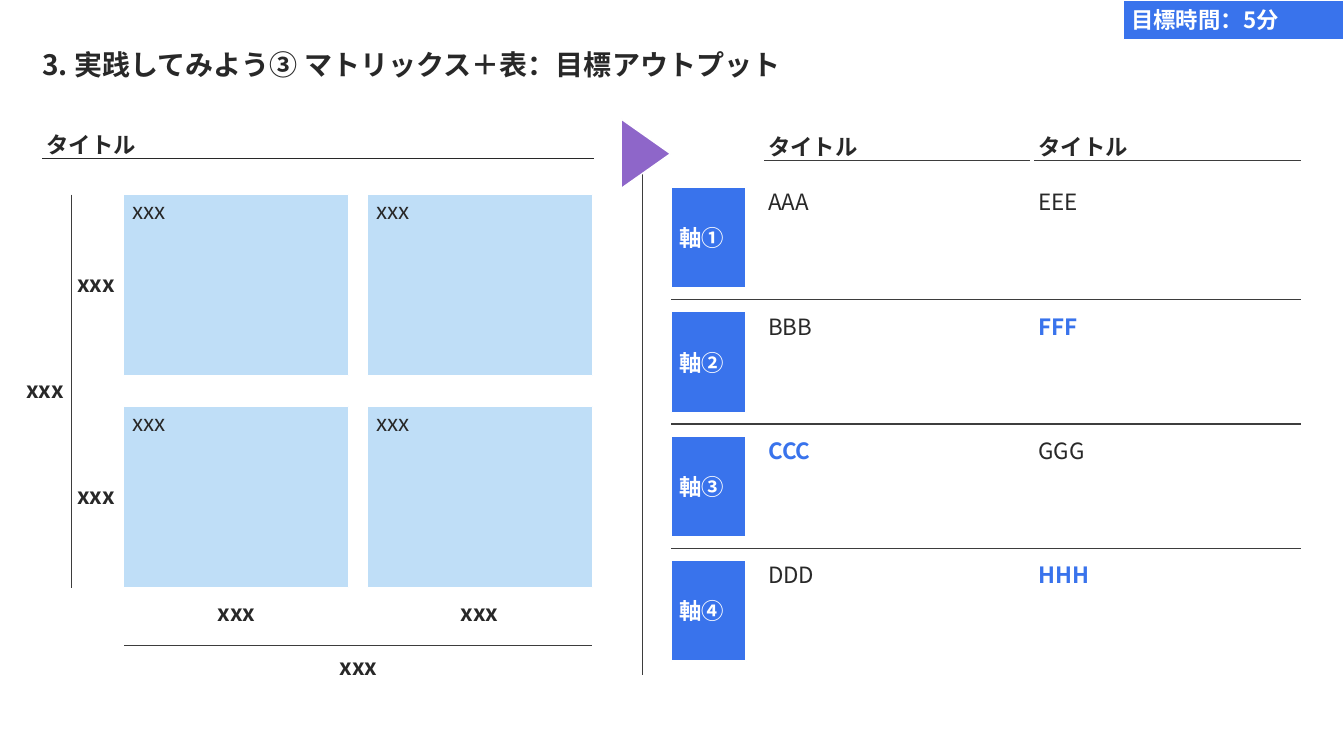
"""Build the practice slide that pairs a two-by-two matrix with an axis table."""
from dataclasses import dataclass
from itertools import product

from lxml import etree
from pptx import Presentation
from pptx.dml.color import RGBColor
from pptx.enum.shapes import MSO_CONNECTOR, MSO_SHAPE
from pptx.enum.text import MSO_ANCHOR, PP_ALIGN
from pptx.oxml.ns import qn
from pptx.shapes.autoshape import Shape
from pptx.slide import Slide
from pptx.util import Inches, Pt

RECTANGLE, TRIANGLE = MSO_SHAPE.RECTANGLE, MSO_SHAPE.ISOSCELES_TRIANGLE
STRAIGHT = MSO_CONNECTOR.STRAIGHT
TOP, MIDDLE, BOTTOM = MSO_ANCHOR.TOP, MSO_ANCHOR.MIDDLE, MSO_ANCHOR.BOTTOM
LEFT, CENTER = PP_ALIGN.LEFT, PP_ALIGN.CENTER

FONT = "Noto Sans CJK JP"
COLORS = {
    "text": "282828",
    "rule": "3D3D3D",
    "accent": "3973EC",
    "cell": "BFDEF7",
    "arrow": "8E66C9",
    "white": "FFFFFF",
}
TEXT_MARGINS = (0.04, 0.04, 0.04, 0.04)
HEADING_MARGINS = (0.04, 0.04, 0.04, 0)
SHAPE_MARGINS = (0.08, 0.06, 0.08, 0.06)


@dataclass(frozen=True)
class Box:
    left: float
    top: float
    width: float
    height: float


@dataclass(frozen=True)
class Rule:
    start: tuple[float, float]
    end: tuple[float, float]
    color: str = "rule"


@dataclass(frozen=True)
class Entry:
    text: str
    highlighted: bool = False


@dataclass(frozen=True)
class AxisRow:
    label: str
    entries: tuple[Entry, Entry]


AXIS_ROWS = (
    AxisRow("軸①", (Entry("AAA"), Entry("EEE"))),
    AxisRow("軸②", (Entry("BBB"), Entry("FFF", True))),
    AxisRow("軸③", (Entry("CCC", True), Entry("GGG"))),
    AxisRow("軸④", (Entry("DDD"), Entry("HHH", True))),
)
ROW_TOP, ROW_HEIGHT, ROW_PITCH = 1.86, 1, 3.7 / 3
TABLE_LEFT, TABLE_RIGHT = 6.66, 12.9
COLUMN_LEFTS, COLUMN_WIDTH = (7.58, 10.26), 2.64

CELL_LEFTS, CELL_TOPS = (1.23, 3.65), (1.93, 4.03)
CELL_WIDTH, CELL_HEIGHT = 2.23, 1.8
MATRIX_LABELS = (
    Box(2.09, 5.93, 0.51, 0.32),
    Box(4.5, 5.93, 0.51, 0.32),
    Box(3.3, 6.47, 0.51, 0.32),
    Box(0.7, 2.67, 0.51, 0.32),
    Box(0.7, 4.77, 0.51, 0.32),
    Box(0.19, 3.72, 0.51, 0.32),
)
MATRIX_RULES = (
    Rule((0.71, 1.93), (0.71, 5.83)),
    Rule((1.23, 6.4), (5.87, 6.4)),
)


def write_text(shape: Shape, text: str, *, size: float = 16, color: str = "text",
               bold: bool = False, align: PP_ALIGN = LEFT, anchor: MSO_ANCHOR = TOP,
               margins: tuple[float, ...] = TEXT_MARGINS, spacing: float = 0.9,
               wrap: bool = True) -> None:
    frame = shape.text_frame
    frame.word_wrap = wrap
    frame.vertical_anchor = anchor
    (frame.margin_left, frame.margin_top,
     frame.margin_right, frame.margin_bottom) = map(Inches, margins)
    paragraph = frame.paragraphs[0]
    paragraph.alignment = align
    paragraph.line_spacing = spacing
    run = paragraph.add_run()
    run.text = text
    run.font.name = FONT
    run.font.size = Pt(size)
    run.font.bold = bold
    run.font.color.rgb = RGBColor.from_string(COLORS[color])
    east_asian = etree.SubElement(run.font._element, qn("a:ea"))
    east_asian.set("typeface", FONT)


def add_text(slide: Slide, box: Box, text: str, **text_format) -> None:
    shape = slide.shapes.add_textbox(
        Inches(box.left), Inches(box.top), Inches(box.width), Inches(box.height))
    write_text(shape, text, **text_format)


def add_filled_shape(slide: Slide, box: Box, fill: str, *, kind: MSO_SHAPE = RECTANGLE,
                     line_width: float = 1) -> Shape:
    shape = slide.shapes.add_shape(
        kind, Inches(box.left), Inches(box.top), Inches(box.width), Inches(box.height))
    shape.shadow.inherit = False
    shape.fill.solid()
    shape.fill.fore_color.rgb = RGBColor.from_string(COLORS[fill])
    shape.line.color.rgb = RGBColor.from_string(COLORS["white"])
    shape.line.width = Pt(line_width)
    return shape


def add_rule(slide: Slide, rule: Rule) -> None:
    connector = slide.shapes.add_connector(
        STRAIGHT, *map(Inches, rule.start), *map(Inches, rule.end))
    connector.line.color.rgb = RGBColor.from_string(COLORS[rule.color])
    connector.line.width = Pt(0.75)
    etree.SubElement(connector._element.spPr, qn("a:effectLst"))


def add_heading(slide: Slide, box: Box, color: str = "rule") -> None:
    add_text(slide, box, "タイトル", bold=True, anchor=BOTTOM,
             margins=HEADING_MARGINS, spacing=1)
    baseline = box.top + box.height
    add_rule(slide, Rule((box.left, baseline), (box.left + box.width, baseline), color))


def add_badge(slide: Slide, box: Box, text: str) -> None:
    badge = add_filled_shape(slide, box, "accent")
    write_text(badge, text, color="white", bold=True, anchor=MIDDLE,
               margins=SHAPE_MARGINS, spacing=1)


def add_axis_table(slide: Slide) -> None:
    for left in COLUMN_LEFTS:
        add_heading(slide, Box(left, 1.28, COLUMN_WIDTH, 0.31))
    for index, row in enumerate(AXIS_ROWS):
        top = ROW_TOP + index * ROW_PITCH
        add_badge(slide, Box(TABLE_LEFT, top, 0.74, ROW_HEIGHT), row.label)
        for left, entry in zip(COLUMN_LEFTS, row.entries):
            add_text(slide, Box(left, top, COLUMN_WIDTH, ROW_HEIGHT), entry.text,
                     bold=entry.highlighted,
                     color="accent" if entry.highlighted else "text")
        if index:
            divider = top - 0.12
            add_rule(slide, Rule((TABLE_LEFT, divider), (TABLE_RIGHT, divider)))


def add_matrix(slide: Slide) -> None:
    for top, left in product(CELL_TOPS, CELL_LEFTS):
        cell = add_filled_shape(slide, Box(left, top, CELL_WIDTH, CELL_HEIGHT), "cell",
                                line_width=0.75)
        write_text(cell, "xxx", margins=SHAPE_MARGINS)
    for rule in MATRIX_RULES:
        add_rule(slide, rule)
    for box in MATRIX_LABELS:
        add_text(slide, box, "xxx", bold=True, align=CENTER, anchor=MIDDLE, wrap=False)
    add_heading(slide, Box(0.42, 1.25, 5.47, 0.32), "text")


def main() -> None:
    presentation = Presentation()
    presentation.slide_width = Inches(13.33)
    presentation.slide_height = Inches(7.5)
    slide = presentation.slides.add_slide(presentation.slide_layouts[6])
    add_text(slide, Box(0.38, 0.36, 12.6, 0.59),
             "3. 実践してみよう③ マトリックス＋表：目標アウトプット",
             size=20, bold=True, anchor=MIDDLE)
    add_axis_table(slide)
    add_rule(slide, Rule((6.37, 1.66), (6.37, 6.7)))
    arrow = add_filled_shape(slide, Box(6.06, 1.28, 0.69, 0.49), "arrow", kind=TRIANGLE)
    arrow.rotation = 90
    add_matrix(slide)
    add_badge(slide, Box(11.14, 0, 2.19, 0.39), "目標時間：5分")
    presentation.save("out.pptx")


if __name__ == "__main__":
    main()
